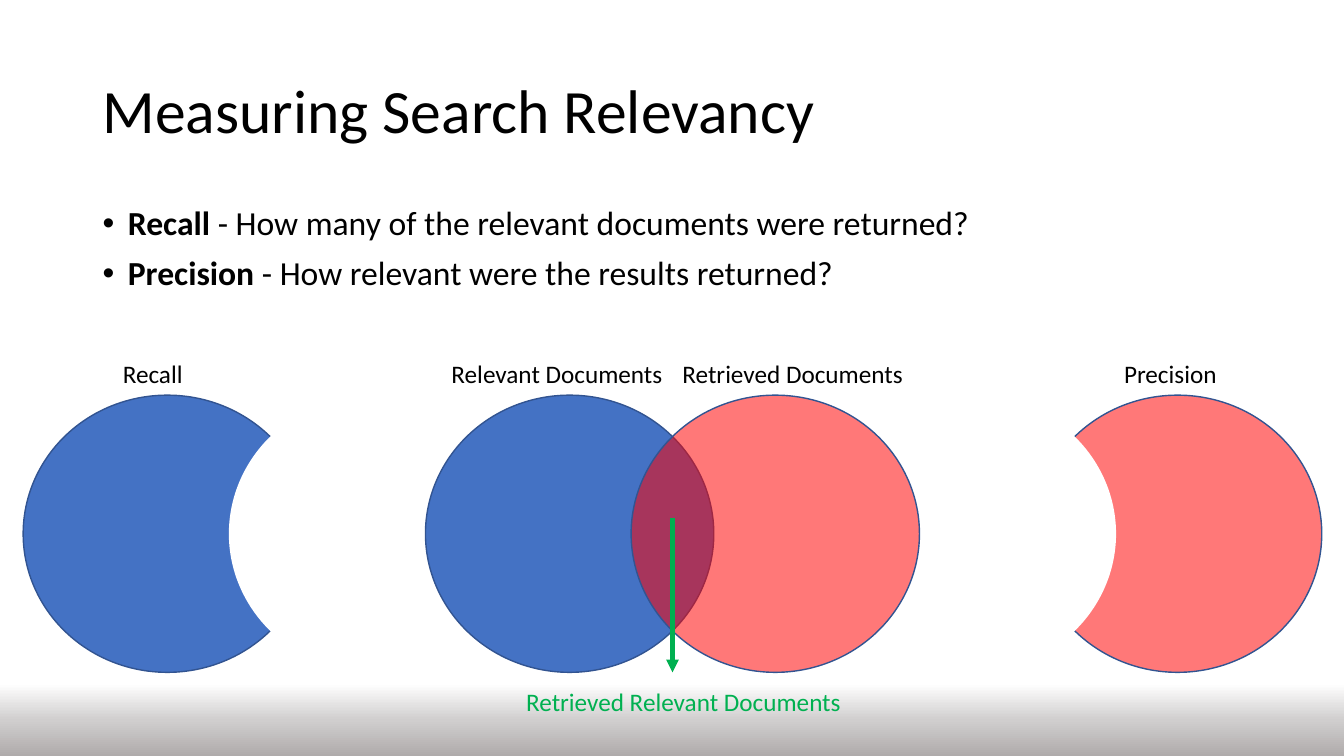
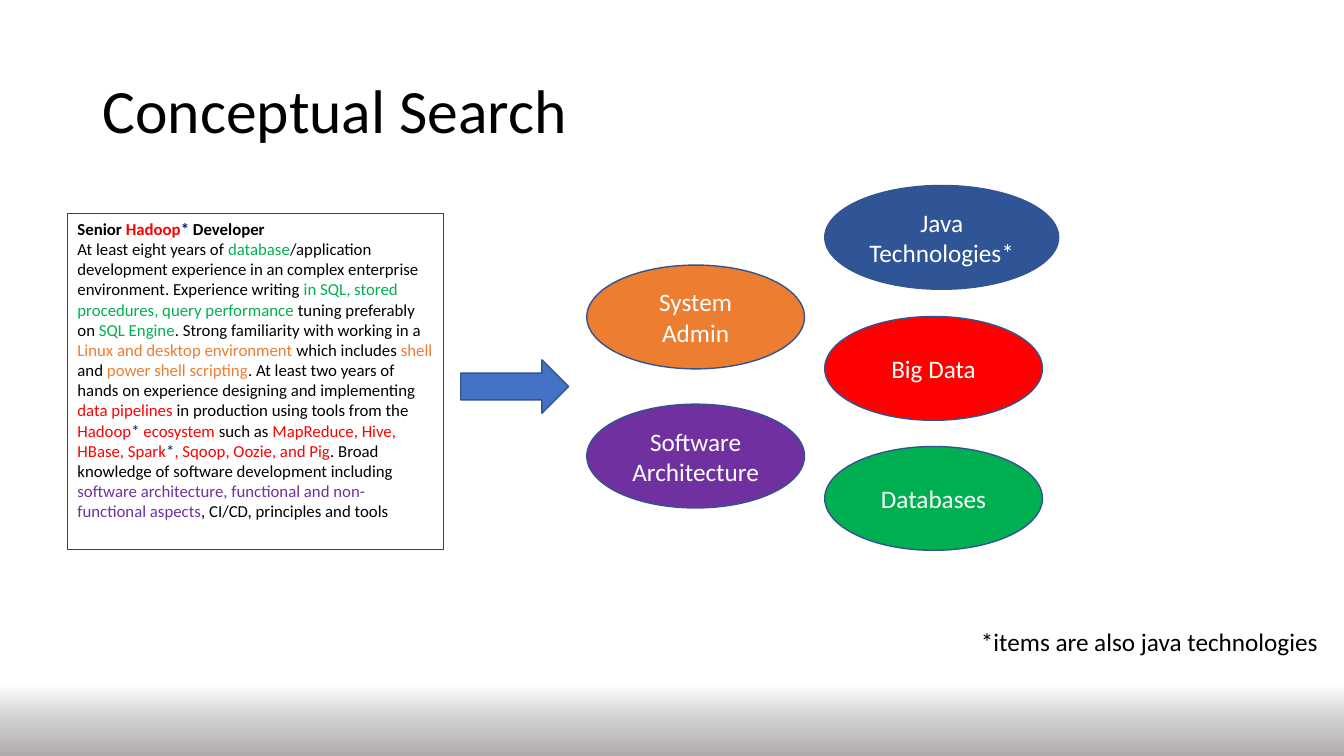
from lxml import etree
from pptx import Presentation
from pptx import util as u
from pptx.dml.color import RGBColor
from pptx.enum import shapes, text
from pptx.oxml import ns

PX = 9144
FONT = "Calibri"
BLACK, WHITE, BLUE, EDGE = "000000", "FFFFFF", "4472C4", "325491"
RED, GREEN, ORANGE, PURPLE = "FF0000", "00B050", "ED7D31", "7030A0"
NAVY, DEEP, FRAME = "002060", "2F5597", "404040"
BAND = [(0, "AFABAB"), (49, "D0CECE"), (100, WHITE)]
WIDE, HIGH = 286, 275
STEP = 204
OVAL = shapes.MSO_SHAPE.OVAL
MID = text.MSO_ANCHOR.MIDDLE

TERMS = [
    [("Recall ", BLACK, True),
     ("- How many of the relevant documents were returned?", BLACK, False)],
    [("Precision ", BLACK, True),
     ("- How relevant were the results returned?", BLACK, False)],
]
HEAD = [("Senior ", BLACK), ("Hadoop", RED), ("*", NAVY), (" Developer", BLACK)]
BODY = [
    ("At least eight years of ", BLACK),
    ("database", GREEN),
    ("/application development experience in an complex enterprise "
     "environment. Experience writing ", BLACK),
    ("in SQL, stored procedures, query performance ", GREEN),
    ("tuning preferably on ", BLACK),
    ("SQL Engine", GREEN),
    (". Strong familiarity with working in a ", BLACK),
    ("Linux and desktop environment ", ORANGE),
    ("which includes ", BLACK),
    ("shell ", ORANGE),
    ("and", BLACK),
    (" power shell scripting", ORANGE),
    (". At least two years of hands on experience designing and "
     "implementing ", BLACK),
    ("data pipelines ", RED),
    ("in production using tools from the ", BLACK),
    ("Hadoop", RED),
    ("*", NAVY),
    (" ecosystem", RED),
    (" such as ", BLACK),
    ("MapReduce, Hive, HBase, Spark", RED),
    ("*", NAVY),
    (", Sqoop, Oozie, and Pig", RED),
    (". Broad knowledge of software development including ", BLACK),
    ("software architecture, functional and non-functional aspects", PURPLE),
    (", CI/CD, principles and tools", BLACK),
]
TOPICS = [
    ("Java Technologies*", DEEP, 236, 0, 232),
    ("Big Data", RED, 236, 130, 216),
    ("Databases", GREEN, 236, 259, 216),
    ("Software Architecture", PURPLE, 0, 217, 216),
    ("System Admin", ORANGE, 0, 79, 216),
]


def px(*vals):
    """Turn px lengths into EMU."""
    return [u.Emu(v * PX) for v in vals]


def rgb(code):
    """Turn a hex string into a colour."""
    return RGBColor.from_string(code)


def node(up, tag, **atts):
    """Add a DrawingML element below another one."""
    return etree.SubElement(up, ns.qn("a:" + tag), **atts)


def style(run, size, color, bold=False):
    """Format one run."""
    font = run.font
    font.name, font.size, font.bold = FONT, u.Pt(size), bold
    font.color.rgb = rgb(color)


def mix(para, parts, size, bold=False):
    """Fill a paragraph with runs of (words, colour, optional bold)."""
    for words, color, *own in parts:
        run = para.add_run()
        run.text = words
        style(run, size, color, own[0] if own else bold)


def frame(slide, box):
    """Add a wrapping text box and return it."""
    shape = slide.shapes.add_textbox(*px(*box))
    shape.text_frame.word_wrap = True
    return shape


def label(slide, box, words, size=18, color=BLACK):
    """Add a text box with one styled line and return its frame."""
    area = frame(slide, box).text_frame
    area.text = words
    style(area.paragraphs[0].runs[0], size, color)
    return area


def form(slide, kind, box, color, edge=EDGE, alpha=None):
    """Add a filled preset shape."""
    shape = slide.shapes.add_shape(kind, *px(*box))
    shape.shadow.inherit = False
    shape.fill.solid()
    shape.fill.fore_color.rgb = rgb(color)
    if alpha:
        tint = shape._element.spPr.find(".//" + ns.qn("a:srgbClr"))
        node(tint, "alpha", val=str(alpha * 1000))
    if edge:
        shape.line.color.rgb = rgb(edge)
        shape.line.width = u.Pt(1)
    else:
        shape.line.fill.background()
    return shape


def base(deck, title):
    """Add a slide with the shared bottom band and title."""
    slide = deck.slides.add_slide(deck.slide_layouts[6])
    band = form(slide, shapes.MSO_SHAPE.RECTANGLE, (0, 678, 1333, 72), WHITE, None)
    band.fill.gradient()
    grad = band._element.spPr.find(ns.qn("a:gradFill"))
    stops = grad.find(ns.qn("a:gsLst"))
    for old in list(stops):
        stops.remove(old)
    for pos, color in BAND:
        stop = node(stops, "gs", pos=str(pos * 1000))
        node(stop, "srgbClr", val=color)
    grad.find(ns.qn("a:lin")).set("ang", str(270 * 60000))
    area = label(slide, (92, 40, 1150, 145), title, 44)
    area.vertical_anchor = MID
    area.paragraphs[0].line_spacing = 0.9
    return slide


def terms(slide, box):
    """Place the bulleted definitions."""
    area = frame(slide, box).text_frame
    for i, parts in enumerate(TERMS):
        para = area.add_paragraph() if i else area.paragraphs[0]
        para.line_spacing = 0.9
        para.space_before = u.Pt(10 if i else 0)
        props = para._p.get_or_add_pPr()
        props.set("marL", str(25 * PX))
        props.set("indent", str(-25 * PX))
        node(props, "buFont", typeface="Arial")
        node(props, "buChar", char="•")
        mix(para, parts, 24)


def disc(slide, x, y, color, alpha, words, shift, wide):
    """Place a circle with its label above."""
    form(slide, OVAL, (x, y, WIDE, HIGH), color, alpha=alpha)
    label(slide, (x + shift, y - 41, wide, 40), words)


def moon(slide, x, y, color, alpha, words, shift, side):
    """Place a circle with a bite taken out on one side."""
    disc(slide, x, y, color, alpha, words, shift, 114)
    form(slide, OVAL, (x + side * STEP, y, WIDE, HIGH), WHITE, None)


def venn(slide, x, y):
    """Place the two crossing circles and the arrow to their overlap."""
    disc(slide, x, y, BLUE, None, "Relevant Documents", 16, 240)
    disc(slide, x + STEP, y, RED, 53, "Retrieved Documents", 41, 240)
    mid = x + (WIDE + STEP) // 2
    line = slide.shapes.add_connector(
        shapes.MSO_CONNECTOR.STRAIGHT, *px(mid, y + 122, mid, y + HIGH))
    line.line.color.rgb = rgb(GREEN)
    line.line.width = u.Pt(3)
    node(line.line._get_or_add_ln(), "tailEnd", type="triangle")
    node(line._element.spPr, "effectLst")
    label(slide, (x + 90, y + 284, 370, 40),
          "Retrieved Relevant Documents", color=GREEN)


def advert(slide, box):
    """Place the framed job text."""
    shape = frame(slide, box)
    shape.line.color.rgb = rgb(FRAME)
    shape.line.width = u.Pt(0.75)
    area = shape.text_frame
    mix(area.paragraphs[0], HEAD, 12, True)
    mix(area.add_paragraph(), BODY, 12)


def topics(slide, x, y):
    """Place the concept ovals."""
    for words, color, dx, dy, wide in TOPICS:
        shape = form(slide, OVAL, (x + dx, y + dy, wide, 103), color)
        area = shape.text_frame
        area.text = words
        area.word_wrap = True
        area.vertical_anchor = MID
        para = area.paragraphs[0]
        para.alignment = text.PP_ALIGN.CENTER
        style(para.runs[0], 18, WHITE)


def recall(deck):
    """Build the slide on recall and precision."""
    slide = base(deck, "Measuring Search Relevancy")
    terms(slide, (92, 200, 1150, 476))
    top = 392
    moon(slide, 1025, top, RED, 53, "Precision", 80, -1)
    moon(slide, 23, top, BLUE, None, "Recall", 89, 1)
    venn(slide, 422, top)


def concept(deck):
    """Build the slide on concepts found in a job text."""
    slide = base(deck, "Conceptual Search")
    advert(slide, (67, 212, 373, 333))
    topics(slide, 582, 184)
    form(slide, shapes.MSO_SHAPE.RIGHT_ARROW, (457, 357, 107, 53), BLUE)
    label(slide, (963, 616, 358, 40), "*items are also java technologies")


def main():
    """Build and save the deck."""
    deck = Presentation()
    deck.slide_width, deck.slide_height = px(1333, 750)
    recall(deck)
    concept(deck)
    deck.save("out.pptx")


if __name__ == "__main__":
    main()
